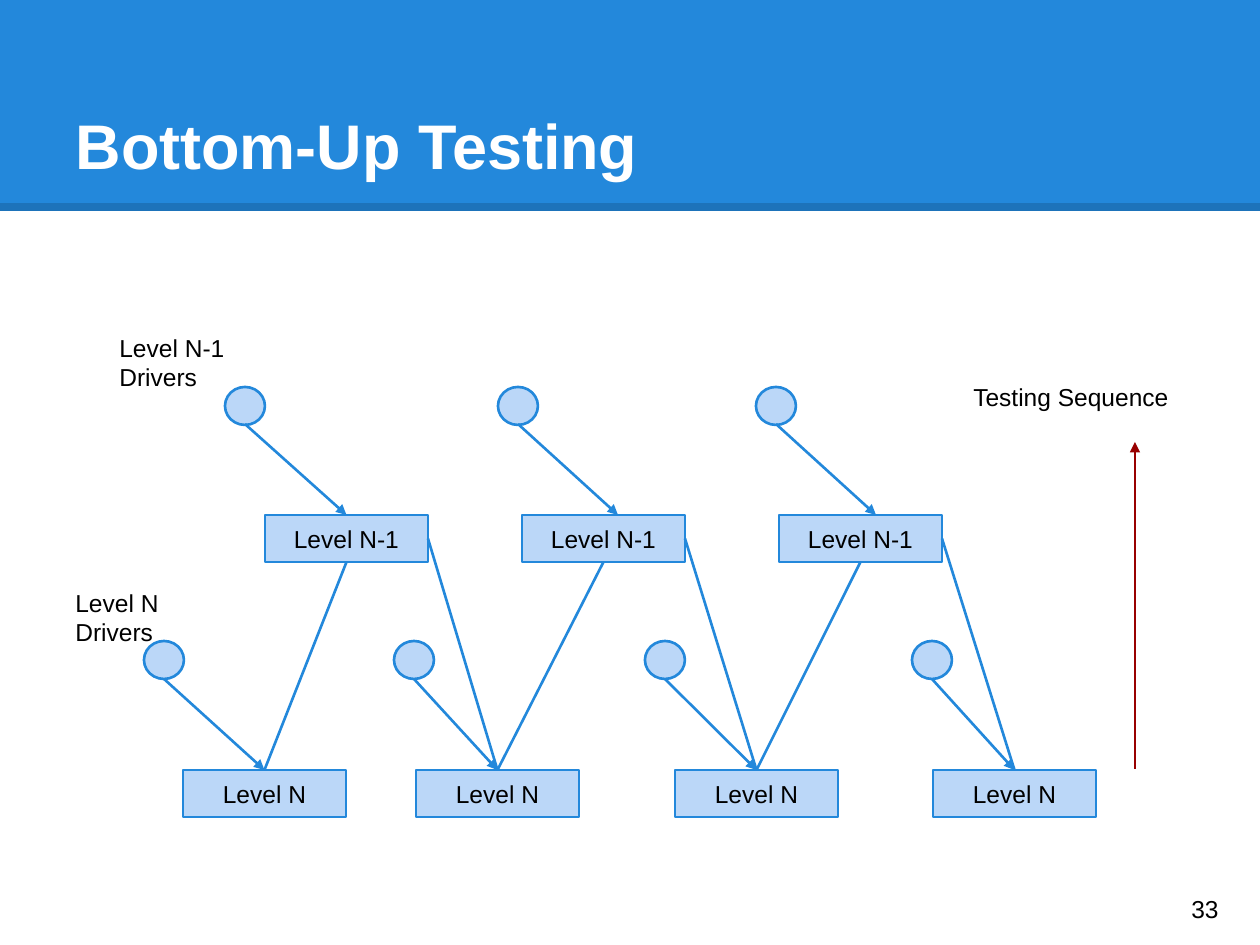
"""Build the Bottom-Up Testing slide with its driver and level diagram."""
import pptx
import pptx.util
import pptx.dml.color
import pptx.enum.shapes
import pptx.enum.text
import pptx.oxml
import pptx.oxml.ns

PX = 914400 / 126
BLUE, PALE, RED, BLACK, WHITE = "2388DB", "BBD7F8", "980000", "000000", "FFFFFF"
SHAPE = pptx.enum.shapes.MSO_SHAPE
ALIGN = pptx.enum.text.PP_ALIGN
ANCHOR = pptx.enum.text.MSO_ANCHOR
NS = pptx.oxml.ns.nsdecls("a")
rgb = pptx.dml.color.RGBColor.from_string


def write(sp, text, align=ALIGN.LEFT, anchor=ANCHOR.TOP, size=14, color=BLACK, bold=False):
    tf = sp.text_frame
    tf.word_wrap = True
    tf.auto_size = pptx.enum.text.MSO_AUTO_SIZE.NONE
    tf.vertical_anchor = anchor
    tf.margin_left = tf.margin_right = tf.margin_top = tf.margin_bottom = pptx.util.Inches(0.1)
    p = tf.paragraphs[0]
    p.alignment = align
    r = p.add_run()
    r.text = text
    r.font.name = "Arial"
    r.font.size = pptx.util.Pt(size)
    r.font.bold = bold
    r.font.color.rgb = rgb(color)


def connect(x1, y1, x2, y2, color=BLUE, width=1.5, arrow=False):
    ends = [round(v * PX) for v in (x1, y1, x2, y2)]
    c = s.shapes.add_connector(pptx.enum.shapes.MSO_CONNECTOR.STRAIGHT, *ends)
    c.line.color.rgb = rgb(color)
    c.line.width = pptx.util.Pt(width)
    if arrow:
        c.line.fill
        ln = c.element.spPr.find(pptx.oxml.ns.qn("a:ln"))
        ln.append(pptx.oxml.parse_xml(f'<a:tailEnd {NS} type="triangle"/>'))
    c.element.spPr.append(pptx.oxml.parse_xml(f"<a:effectLst {NS}/>"))
    return c


prs = pptx.Presentation()
prs.slide_width = pptx.util.Inches(10)
prs.slide_height = pptx.util.Inches(7.5)
s = prs.slides.add_slide(prs.slide_layouts[5])

band = s.shapes.add_shape(SHAPE.RECTANGLE, 0, 0, prs.slide_width, round(211 * PX))
band.shadow.inherit = False
band.fill.solid()
band.fill.fore_color.rgb = rgb(BLUE)
band.line.fill.background()
edge = connect(0, 207, 1260, 207, BLACK, 4.5)
clr = next(edge.element.iter(pptx.oxml.ns.qn("a:srgbClr")))
clr.append(pptx.oxml.parse_xml(f'<a:alpha {NS} val="15000"/>'))

title = s.shapes.title
title.left, title.top, title.width, title.height = [round(v * PX) for v in (63, 38, 1134, 157)]
write(title, "Bottom-Up Testing", anchor=ANCHOR.BOTTOM, size=36, color=WHITE, bold=True)
s.shapes.element.append(title.element)

levels = []
for label, box_top, box_lefts, driver_top, driver_lefts in (
    ("Level N", 770, (183, 416, 675, 933), 641, (144, 394, 645, 912)),
    ("Level N-1", 515, (265, 522, 779), 387, (225, 498, 756)),
):
    boxes = []
    for box_left, driver_left in zip(box_lefts, driver_lefts):
        for kind, x, y, w, h in (
            (SHAPE.RECTANGLE, box_left, box_top, 163, 47),
            (SHAPE.OVAL, driver_left, driver_top, 40, 38),
        ):
            sp = s.shapes.add_shape(kind, *[round(v * PX) for v in (x, y, w, h)])
            sp.shadow.inherit = False
            sp.fill.solid()
            sp.fill.fore_color.rgb = rgb(PALE)
            sp.line.color.rgb = rgb(BLUE)
            sp.line.width = pptx.util.Pt(1.5)
            if kind == SHAPE.RECTANGLE:
                write(sp, label, ALIGN.CENTER, ANCHOR.MIDDLE)
                boxes.append(sp)
    levels.append(boxes)
lower, upper = levels

for box, driver_left in zip(lower, (144, 394, 645, 912)):
    c = connect(driver_left + 20, 679, driver_left + 121, 770, arrow=True)
    c.end_connect(box, 0)
for driver_left, tip in zip((225, 498, 756), (346, 618, 876)):
    c = connect(driver_left + 20, 424, tip, 515, arrow=True)
    if tip == 346:
        c.end_connect(upper[0], 0)

for i, box in enumerate(upper):
    for side, target in ((2, lower[i]), (3, lower[i + 1])):
        c = connect(0, 0, 1, 1)
        c.begin_connect(box, side)
        c.end_connect(target, 0)

connect(1135, 769, 1135, 442, RED, arrow=True)

for text, x, y, w, h, align, anchor in (
    ("Level N Drivers", 63, 575, 139, 38, ALIGN.LEFT, ANCHOR.TOP),
    ("Level N-1 Drivers", 107, 320, 139, 38, ALIGN.LEFT, ANCHOR.TOP),
    ("Testing Sequence", 933, 369, 276, 72, ALIGN.CENTER, ANCHOR.TOP),
    ("33", 1179, 873, 76, 72, ALIGN.LEFT, ANCHOR.MIDDLE),
):
    write(s.shapes.add_textbox(*[round(v * PX) for v in (x, y, w, h)]), text, align, anchor)

prs.save("out.pptx")
